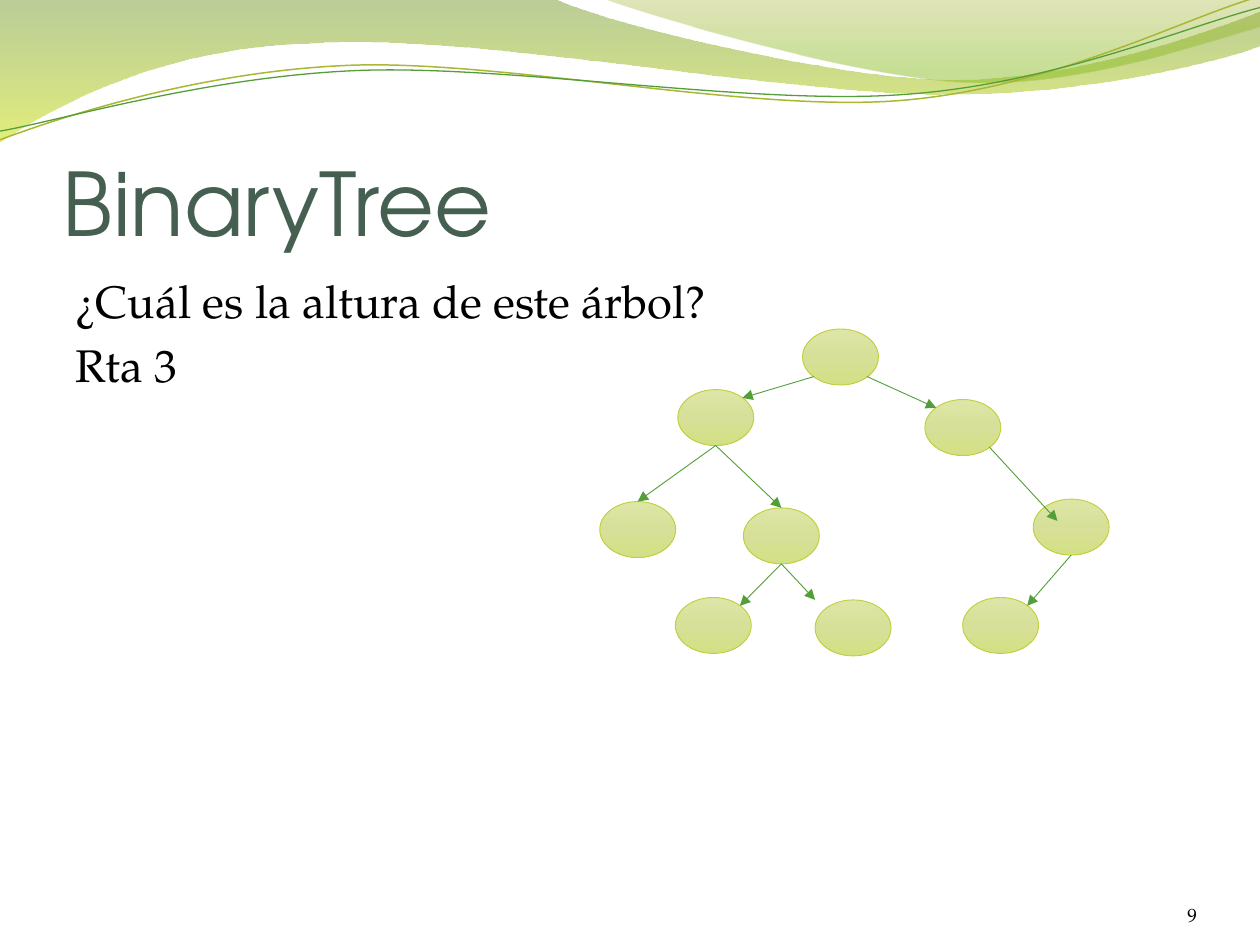
from dataclasses import dataclass

from lxml.etree import Element, SubElement
from pptx import Presentation
from pptx.dml.color import RGBColor
from pptx.enum.shapes import MSO_CONNECTOR, MSO_SHAPE
from pptx.enum.text import MSO_ANCHOR, PP_ALIGN
from pptx.oxml.ns import qn
from pptx.util import Pt


@dataclass(frozen=True)
class Theme:
    """Colours, fonts and sizes of the slide."""
    heading_font: str = "TeX Gyre Adventor"
    body_font: str = "TeX Gyre Pagella"
    title_size: float = 50
    body_size: float = 26
    number_size: float = 11
    title: str = "455F51"
    text: str = "000000"
    green: str = "549E39"
    olive: str = "A9B733"
    node_line: str = "C0CF3A"
    node_fill: tuple = ((0, "DDE6A6", 100), (50, "D7E098", 100), (100, "D4E084", 100))
    wide_wave: tuple = ((0, "69921C", 45), (100, "CCE10F", 55))
    right_wave: tuple = ((0, "9BAA1A", 30), (80, "81BA16", 45))


T = Theme()

WIDE_WAVE = (
    ((0, 0),), ((316.8, -0.7),),
    ((342, 12.2), (477.4, 45.4), (545.8, 45.4)),
    ((614.2, 45.4), (689.8, 18.7), (720, 6.5)),
    ((720.7, 25.9),),
    ((707.8, 31.7), (625.7, 54.7), (537.1, 54)),
    ((447.8, 54), (274.3, 20.2), (185, 24.5)),
    ((92.9, 25.9), (33.1, 59.8), (-0.7, 81.4)),
)
RIGHT_WAVE = (
    ((344.9, -0.7),),
    ((366.5, 7.9), (491, 44.6), (553, 46.8)),
    ((615.6, 49.7), (691.9, 23), (720, 15.1)),
    ((720, 0),),
)
OLIVE_CURVE = (
    ((0, 79.9),),
    ((34.6, 67), (113, 41), (198.7, 37.4)),
    ((284.4, 33.8), (426.2, 64.1), (512.6, 57.6)),
    ((599.8, 51.1), (675.4, 10.8), (717.8, -1.4)),
)
GREEN_CURVE = (
    ((0, 74.9),),
    ((33.8, 69.1), (117.4, 43.9), (203.8, 40.3)),
    ((289.4, 36.7), (429.8, 60.5), (516.2, 54)),
    ((601.9, 48.2), (677.5, 15.1), (720, 4.3)),
)

NODE_W, NODE_H = 43.4, 32
NODES = {
    "root": (115.9, 0), "R": (185.8, 40.3), "RR": (247.7, 97.2),
    "L": (44.6, 34.6), "RRL": (207.4, 153.4), "LR": (82.1, 102.2),
    "LRR": (123.1, 154.8), "LL": (0, 98.6), "LRL": (43.2, 153.4),
}
SITES = {
    "top": (0.5, 0), "bottom": (0.5, 1), "top left": (0.15, 0.15),
    "top right": (0.85, 0.15), "bottom left": (0.15, 0.85),
    "bottom right": (0.85, 0.85), "corner": (0, 0), "inside": (0.32, 0.39),
}
EDGES = (
    ("root", "bottom left", "L", "top right"),
    ("root", "bottom right", "R", "top left"),
    ("L", "bottom", "LL", "top"),
    ("L", "bottom", "LR", "top"),
    ("R", "bottom right", "RR", "inside"),
    ("RR", "bottom", "RRL", "top right"),
    ("LR", "bottom", "LRL", "top right"),
    ("LR", "bottom", "LRR", "corner"),
)


def set_gradient(sp, stops):
    """Fill a shape from top to bottom with (position, colour, opacity) stops."""
    sp.fill.gradient()
    sp.fill.gradient_angle = 270
    gs_list = sp._element.spPr.find(qn("a:gradFill")).find(qn("a:gsLst"))
    for gs in list(gs_list):
        gs_list.remove(gs)
    for pos, color, opacity in stops:
        gs = SubElement(gs_list, qn("a:gs"), pos=str(pos * 1000))
        clr = SubElement(gs, qn("a:srgbClr"), val=color)
        if opacity < 100:
            SubElement(clr, qn("a:alpha"), val=str(opacity * 1000))


def set_line(sp, color, width):
    """Give a shape or connector a solid line."""
    sp.line.color.rgb = RGBColor.from_string(color)
    sp.line.width = Pt(width)


def add_curve(s, box, segments, closed):
    """Draw an outline whose three-point segments are Bézier curves."""
    x, y = box[:2]
    start, *rest = [(Pt(x + px), Pt(y + py)) for seg in segments for px, py in seg]
    fb = s.shapes.build_freeform(*start)
    fb.add_line_segments(rest, close=closed)
    sp = fb.convert_to_shape()
    sp.shadow.inherit = False
    lines = iter(list(sp._element.iter(qn("a:lnTo"))))
    for seg in segments[1:]:
        parts = [next(lines) for _ in seg]
        if len(parts) == 3:
            bezier = Element(qn("a:cubicBezTo"))
            parts[0].addprevious(bezier)
            for part in parts:
                bezier.append(part[0])
                part.getparent().remove(part)
    return sp


def add_header(s, box):
    """Draw the waves and curves along the top."""
    for segments, stops in ((WIDE_WAVE, T.wide_wave), (RIGHT_WAVE, T.right_wave)):
        sp = add_curve(s, box, segments, True)
        set_gradient(sp, stops)
        sp.line.fill.background()
    for segments, color, width in ((OLIVE_CURVE, T.olive, 0.85), (GREEN_CURVE, T.green, 0.75)):
        sp = add_curve(s, box, segments, False)
        sp.fill.background()
        set_line(sp, color, width)


def add_text(s, box, lines, font, size, color, insets=(7.2, 3.6, 7.2, 3.6),
             anchor=MSO_ANCHOR.TOP, align=PP_ALIGN.LEFT, before=0):
    """Place paragraphs of one style in a box."""
    tf = s.shapes.add_textbox(*map(Pt, box)).text_frame
    tf.word_wrap = True
    tf.vertical_anchor = anchor
    tf.margin_left, tf.margin_top, tf.margin_right, tf.margin_bottom = map(Pt, insets)
    tf.text = "\n".join(lines)
    for p in tf.paragraphs:
        p.alignment = align
        p.space_before = Pt(before)
        for r in p.runs:
            r.font.name = font
            r.font.size = Pt(size)
            r.font.color.rgb = RGBColor.from_string(color)


def add_tree(s, box):
    """Draw the binary tree's nodes and the arrows between them."""
    x, y = box[:2]
    for dx, dy in NODES.values():
        sp = s.shapes.add_shape(MSO_SHAPE.OVAL, Pt(x + dx), Pt(y + dy), Pt(NODE_W), Pt(NODE_H))
        sp.shadow.inherit = False
        set_gradient(sp, T.node_fill)
        set_line(sp, T.node_line, 0.5)

    def point(node, site):
        """Return where a site of a node lies on the slide."""
        (dx, dy), (fx, fy) = NODES[node], SITES[site]
        return Pt(x + dx + fx * NODE_W), Pt(y + dy + fy * NODE_H)

    for parent, out, child, into in EDGES:
        cn = s.shapes.add_connector(MSO_CONNECTOR.STRAIGHT, *point(parent, out), *point(child, into))
        set_line(cn, T.green, 0.5)
        SubElement(cn.line._get_or_add_ln(), qn("a:tailEnd"), type="triangle")
        SubElement(cn._element.spPr, qn("a:effectLst"))


def main():
    """Build and save the slide."""
    prs = Presentation()
    prs.slide_width, prs.slide_height = Pt(720), Pt(540)
    s = prs.slides.add_slide(prs.slide_layouts[6])
    add_header(s, (0, 0, 720, 82))
    add_text(s, (36, 55.4, 648, 90), ["BinaryTree"], T.heading_font, T.title_size,
             T.title, insets=(0, 3.6, 0, 0), anchor=MSO_ANCHOR.BOTTOM)
    add_text(s, (36, 152.6, 648, 345.6), ["¿Cuál es la altura de este árbol?", "Rta 3"],
             T.body_font, T.body_size, T.text, before=5.2)
    add_text(s, (624.2, 500.4, 59.8, 28.8), ["9"], T.body_font, T.number_size, T.text,
             insets=(0, 0, 0, 0), anchor=MSO_ANCHOR.BOTTOM, align=PP_ALIGN.RIGHT)
    add_tree(s, (342.7, 188, 291, 187))
    prs.save("out.pptx")


if __name__ == "__main__":
    main()
